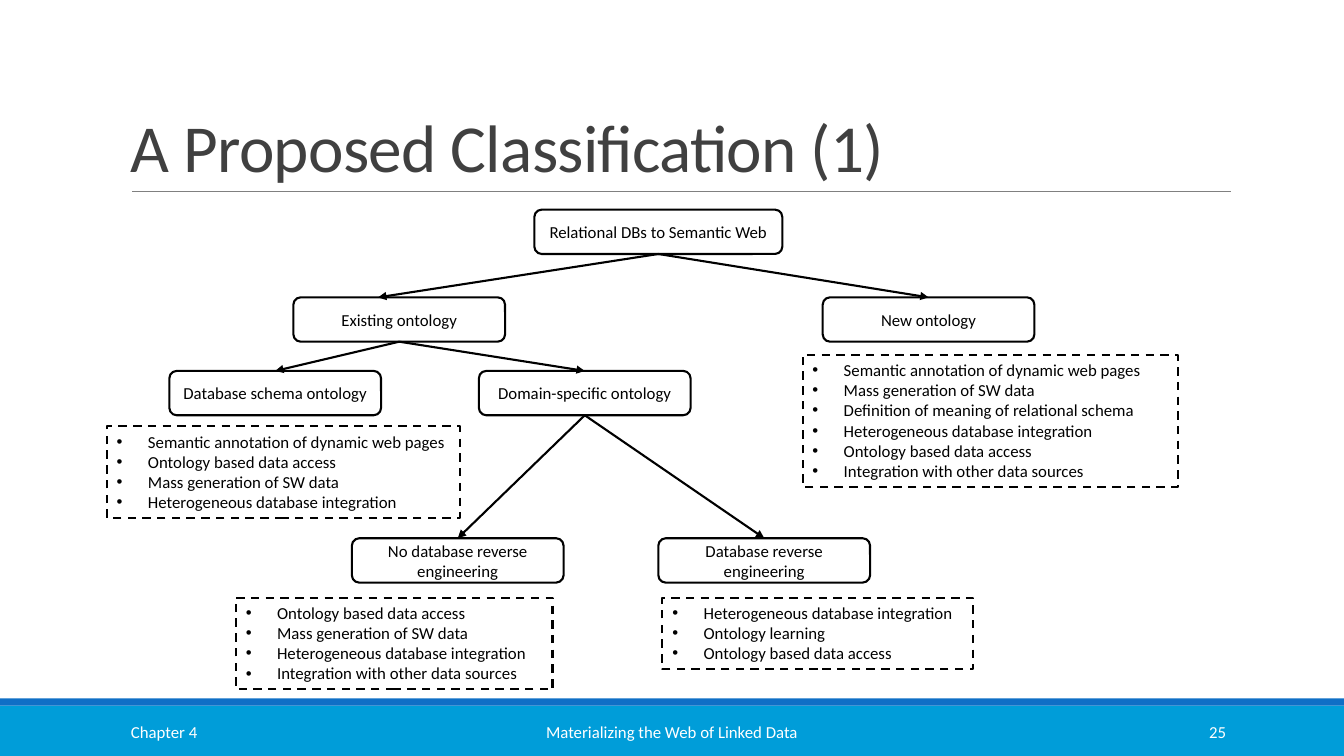
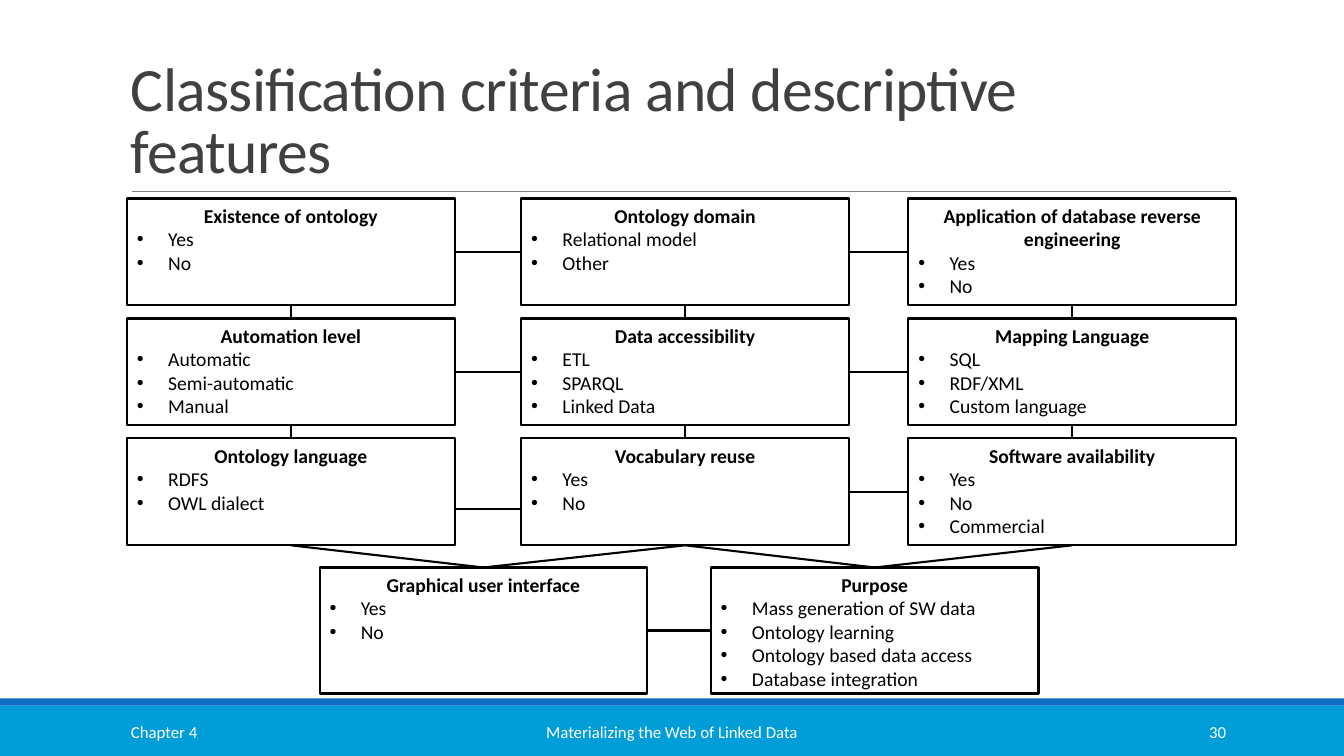
from lxml import etree
from pptx import Presentation
from pptx import util as u
from pptx.dml.color import RGBColor
from pptx.enum import dml, shapes, text
from pptx.oxml.ns import qn

PX = 9144  # 100 px to the inch
WIDTH, HEIGHT = 1333, 750
FONT = "Calibri"
BLACK, WHITE, TITLE_GREY, RULE_GREY = "000000", "FFFFFF", "404040", "808080"
FOOTER_BLUE, STRIPE_BLUE = "009DD9", "0F6FC6"
INDENT = 31
TOP, LEFT, BOTTOM, RIGHT = range(4)  # connection sites of a rectangle
ALIGN, ANCHOR = text.PP_ALIGN, text.MSO_ANCHOR
SHAPE = shapes.MSO_SHAPE


def px(*lengths):
    return [u.Emu(round(length * PX)) for length in lengths]


def color(hex_string):
    return RGBColor.from_string(hex_string)


def style_runs(paragraph, size, hex_string, bold=False):
    for run in paragraph.runs:
        run.font.name = FONT
        run.font.size = u.Pt(size)
        run.font.bold = bold
        run.font.color.rgb = color(hex_string)


def add_bullet(paragraph):
    properties = paragraph._p.get_or_add_pPr()
    properties.set("marL", str(INDENT * PX))
    properties.set("indent", str(-INDENT * PX))
    etree.SubElement(properties, qn("a:buFont")).set("typeface", "Arial")
    etree.SubElement(properties, qn("a:buChar")).set("char", "•")


def add_label(slide, box, words, size, hex_string, align=ALIGN.LEFT, anchor=ANCHOR.MIDDLE):
    label = slide.shapes.add_textbox(*px(*box))
    frame = label.text_frame
    frame.word_wrap = True
    frame.vertical_anchor = anchor
    frame.text = words
    paragraph = frame.paragraphs[0]
    paragraph.alignment = align
    style_runs(paragraph, size, hex_string)
    return paragraph


def add_band(slide, box, fill):
    band = slide.shapes.add_shape(SHAPE.RECTANGLE, *px(*box))
    band.shadow.inherit = False
    band.fill.solid()
    band.fill.fore_color.rgb = color(fill)
    band.line.fill.background()


def add_outline(slide, box, kind=SHAPE.RECTANGLE, anchor=ANCHOR.TOP):
    """Add an unfilled, black-edged shape that is ready to hold text."""
    outline = slide.shapes.add_shape(kind, *px(*box))
    outline.shadow.inherit = False
    outline.fill.background()
    outline.line.color.rgb = color(BLACK)
    outline.line.width = u.Pt(1.5)
    outline.text_frame.word_wrap = True
    outline.text_frame.vertical_anchor = anchor
    return outline


def add_line(slide, start, end, arrow=False, hex_string=BLACK, weight=1.5):
    line = slide.shapes.add_connector(shapes.MSO_CONNECTOR.STRAIGHT, *px(*start, *end))
    line.line.color.rgb = color(hex_string)
    line.line.width = u.Pt(weight)
    if arrow:
        edge = line.line._get_or_add_ln()
        etree.SubElement(edge, qn("a:tailEnd")).set("type", "triangle")
    etree.SubElement(line._element.spPr, qn("a:effectLst"))
    return line


def join(slide, first, second, sites=(BOTTOM, TOP), arrow=False):
    """Glue a line to the given connection sites of two shapes."""
    line = add_line(slide, (0, 0), (0, 0), arrow)
    line.begin_connect(first, sites[0])
    line.end_connect(second, sites[1])


def add_frame(prs, title, title_size, number):
    """Add a slide with the shared title, rule and footer."""
    slide = prs.slides.add_slide(prs.slide_layouts[6])
    add_band(slide, (0, 700, WIDTH, 50), FOOTER_BLUE)
    add_band(slide, (0, 693, WIDTH, 7), STRIPE_BLUE)
    add_line(slide, (131, 190), (1221, 190), hex_string=RULE_GREY, weight=0.5)
    heading = add_label(slide, (120, 31, 1100, 159), title, title_size,
                        TITLE_GREY, anchor=ANCHOR.BOTTOM)
    heading.line_spacing = 0.85
    heading.runs[0].font._element.set("spc", "-50")
    for left, width, words, align in (
        (120, 270, "Chapter 4", ALIGN.LEFT),
        (403, 527, "Materializing the Web of Linked Data", ALIGN.CENTER),
        (1083, 143, number, ALIGN.RIGHT),
    ):
        add_label(slide, (left, 706, width, 40), words, 12, WHITE, align)
    return slide


def add_node(slide, left, top, words, width=210):
    node = add_outline(slide, (left, top, width, 44), SHAPE.ROUNDED_RECTANGLE, ANCHOR.MIDDLE)
    node.text_frame.text = words
    paragraph = node.text_frame.paragraphs[0]
    paragraph.alignment = ALIGN.CENTER
    style_runs(paragraph, 12, BLACK)
    return node


def fill_list(frame, lines, size, headed=False):
    """Write bulleted lines, the first one as a bold heading if headed."""
    frame.text = "\n".join(lines)
    for index, paragraph in enumerate(frame.paragraphs):
        heading = headed and index == 0
        paragraph.alignment = ALIGN.CENTER if heading else ALIGN.LEFT
        style_runs(paragraph, size, BLACK, heading)
        if not heading:
            add_bullet(paragraph)


def add_motives(slide, left, top, width, lines):
    """Add a dashed list whose height follows from its number of lines."""
    motives = add_outline(slide, (left, top, width, 11 + 20 * len(lines)))
    motives.line.dash_style = dml.MSO_LINE.DASH
    fill_list(motives.text_frame, lines, 12)


def add_card(slide, box, lines):
    card = add_outline(slide, box)
    fill_list(card.text_frame, lines, 14, headed=True)
    return card


def build_classification(prs):
    slide = add_frame(prs, "A Proposed Classification (1)", 48, "25")
    root = add_node(slide, 530, 208, "Relational DBs to Semantic Web", 246)
    new = add_node(slide, 816, 295, "New ontology")
    existing = add_node(slide, 291, 295, "Existing ontology")
    schema = add_node(slide, 168, 368, "Database schema ontology")
    domain = add_node(slide, 475, 368, "Domain-specific ontology")
    no_reverse = add_node(slide, 349, 534, "No database reverse engineering")
    reverse = add_node(slide, 653, 534, "Database reverse engineering")

    annotation = "Semantic annotation of dynamic web pages"
    mass = "Mass generation of SW data"
    integration = "Heterogeneous database integration"
    access = "Ontology based data access"
    other = "Integration with other data sources"
    add_motives(slide, 796, 352, 372, [
        annotation, mass, "Definition of meaning of relational schema",
        integration, access, other])
    add_motives(slide, 106, 423, 350, [annotation, access, mass, integration])
    add_motives(slide, 234, 593, 314, [access, mass, integration, other])
    add_motives(slide, 657, 593, 308, [integration, "Ontology learning", access])

    add_line(slide, (653, 252), (375, 295), arrow=True)
    for parent, child in ((root, new), (existing, schema), (existing, domain),
                          (domain, no_reverse), (domain, reverse)):
        join(slide, parent, child, arrow=True)


def build_criteria(prs):
    slide = add_frame(prs, "Classification criteria and descriptive features", 44, "30")
    columns, width, height = (126, 517, 901), 325, 106
    first_top, pitch = 197, 119
    criteria = [
        [["Existence of ontology", "Yes", "No"],
         ["Ontology domain", "Relational model", "Other"],
         ["Application of database reverse engineering", "Yes", "No"]],
        [["Automation level", "Automatic", "Semi-automatic", "Manual"],
         ["Data accessibility", "ETL", "SPARQL", "Linked Data"],
         ["Mapping Language", "SQL", "RDF/XML", "Custom language"]],
        [["Ontology language", "RDFS", "OWL dialect"],
         ["Vocabulary reuse", "Yes", "No"],
         ["Software availability", "Yes", "No", "Commercial"]],
    ]
    grid = [
        [add_card(slide, (left, first_top + row * pitch, width, height), lines)
         for left, lines in zip(columns, cells)]
        for row, cells in enumerate(criteria)
    ]
    interface = add_card(slide, (317, 563, width, 125),
                         ["Graphical user interface", "Yes", "No"])
    purpose = add_card(slide, (705, 563, width, 125), [
        "Purpose", "Mass generation of SW data", "Ontology learning",
        "Ontology based data access", "Database integration"])

    language, vocabulary, software = grid[-1]
    neighbours = [pair for row in grid for pair in zip(row, row[1:])
                  if pair != (language, vocabulary)]
    for left, right in neighbours + [(interface, purpose)]:
        join(slide, left, right, (RIGHT, LEFT))
    add_line(slide, (columns[0] + width, 505), (columns[1], 505))

    stacked = [pair for upper, lower in zip(grid, grid[1:]) for pair in zip(upper, lower)]
    for upper, lower in stacked + [(language, interface), (vocabulary, interface),
                                   (vocabulary, purpose), (software, purpose)]:
        join(slide, upper, lower)


def main():
    prs = Presentation()
    prs.slide_width, prs.slide_height = px(WIDTH, HEIGHT)
    build_classification(prs)
    build_criteria(prs)
    prs.save("out.pptx")


if __name__ == "__main__":
    main()
